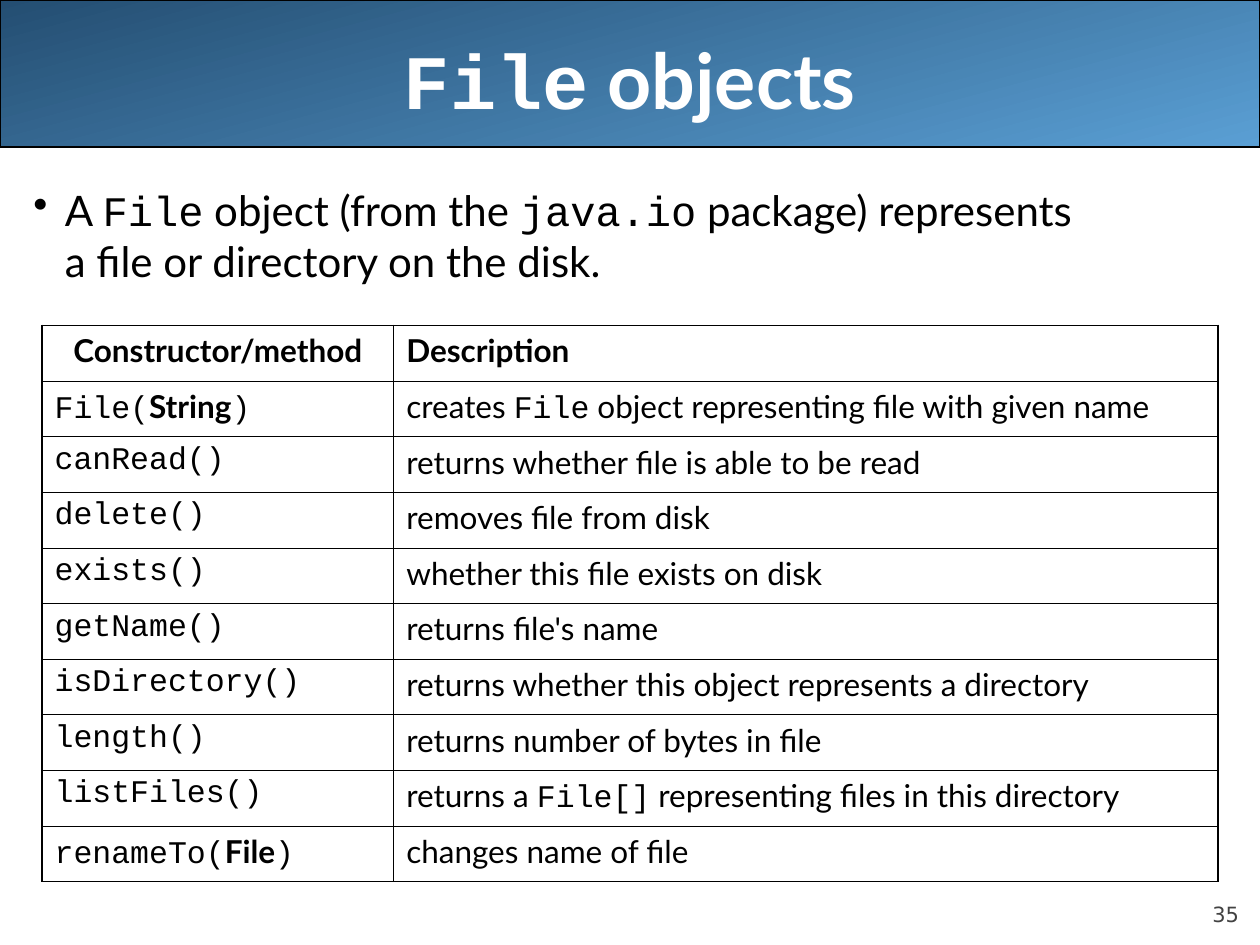
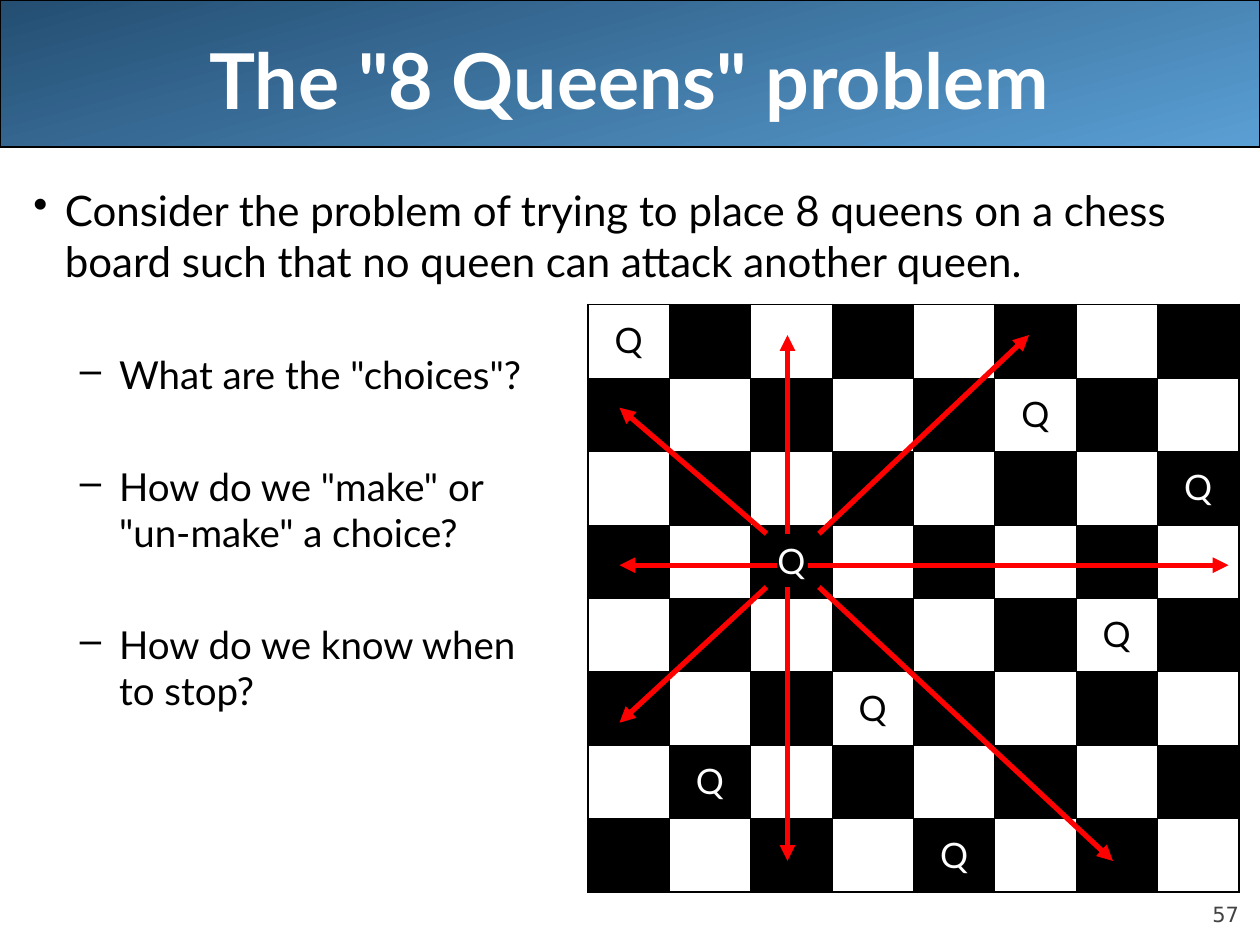
from lxml import etree
from pptx import Presentation
from pptx.dml.color import RGBColor
from pptx.enum.shapes import MSO_CONNECTOR, MSO_SHAPE
from pptx.enum.text import MSO_ANCHOR, MSO_AUTO_SIZE, PP_ALIGN
from pptx.oxml.ns import qn
from pptx.util import Pt

ROUND = MSO_SHAPE.ROUNDED_RECTANGLE
LINE = MSO_CONNECTOR.STRAIGHT
LEFT, MID, RIGHT = PP_ALIGN.LEFT, PP_ALIGN.CENTER, PP_ALIGN.RIGHT
TOP, CENTER, LOW = MSO_ANCHOR.TOP, MSO_ANCHOR.MIDDLE, MSO_ANCHOR.BOTTOM
FIXED = MSO_AUTO_SIZE.NONE

BLACK = RGBColor(0x00, 0x00, 0x00)
WHITE = RGBColor(0xFF, 0xFF, 0xFF)
NAVY = RGBColor(0x24, 0x4E, 0x72)
SKY = RGBColor(0x5A, 0x9F, 0xD4)
GRAY = RGBColor(0x42, 0x42, 0x42)
RED = RGBColor(0xFF, 0x00, 0x00)

SANS, MONO = "Lato", "Courier New"
HEAD = {"name": SANS, "size": Pt(44), "bold": True, "color": WHITE}
BODY = {"name": SANS, "size": Pt(24), "color": BLACK}
SUB = {**BODY, "size": Pt(22)}
CELL = {**BODY, "size": Pt(18), "bold": False}
BOLD = {**CELL, "bold": True}
QUEEN = {**BODY, "size": Pt(20)}
PAGE = {"name": "DejaVu Sans", "size": Pt(12), "color": GRAY}

BAND_BOX = (0, 0, 720, 84)
HEAD_BOX = (36, 0, 648, 90)
BODY_BOX = (12, 102, 708, 408)
PAGE_BOX = (648, 500.5, 60, 28.8)
GRID_BOX = (24, 186, 672, 318)
BOARD_BOX = (336, 174, 372, 336)
THICK, THIN = 1.08, 0.45

METHODS = [
    ("Constructor/method", "Description"),
    ("`File(`String`)`", "creates `File` object representing file with given name"),
    ("`canRead()`", "returns whether file is able to be read"),
    ("`delete()`", "removes file from disk"),
    ("`exists()`", "whether this file exists on disk"),
    ("`getName()`", "returns file's name"),
    ("`isDirectory()`", "returns whether this object represents a directory"),
    ("`length()`", "returns number of bytes in file"),
    ("`listFiles()`", "returns a `File[]` representing files in this directory"),
    ("`renameTo(`File`)`", "changes name of file"),
]
QUEENS = [0, 5, 7, 2, 6, 3, 1, 4]
ATTACKS = [
    ((114, 131), (114, 17.5)),
    ((114, 161.5), (114, 318)),
    ((126, 149), (366, 149)),
    ((108, 149), (18, 149)),
    ((102, 131), (18, 59)),
    ((102, 161.5), (18, 239)),
    ((132, 161.5), (300, 318)),
    ((132, 131), (252, 17.5)),
]


def pts(box):
    return [Pt(n) for n in box]


def style(font, look):
    for key, value in look.items():
        if key == "color":
            font.color.rgb = value
        else:
            setattr(font, key, value)


def write(par, text, look, align=LEFT, **code):
    par.alignment = align
    for i, part in enumerate(text.split("`")):
        for j, line in enumerate(part.split("\n")):
            if j:
                par.add_line_break()
            if line:
                run = par.add_run()
                run.text = line
                style(run.font, {**look, "name": MONO, **code} if i % 2 else look)


def bullet(par, mark, left, hang):
    props = par._p.get_or_add_pPr()
    props.set("marL", str(Pt(left)))
    props.set("indent", str(Pt(-hang)))
    color = etree.SubElement(props, qn("a:buClr"))
    etree.SubElement(color, qn("a:srgbClr"), val=str(BLACK))
    etree.SubElement(props, qn("a:buChar"), char=mark)


def frame(shape, anchor):
    text = shape.text_frame
    for key, value in {"word_wrap": True, "auto_size": FIXED,
                       "vertical_anchor": anchor}.items():
        setattr(text, key, value)
    return text


def add_band(slide, box):
    band = slide.shapes.add_shape(ROUND, *pts(box))
    band.adjustments[0] = 0
    band.shadow.inherit = False
    band.fill.gradient()
    band.fill.gradient_angle = 285
    for stop, color in zip(band.fill.gradient_stops, (NAVY, SKY)):
        stop.color.rgb = color
    band.line.color.rgb = BLACK
    band.line.width = Pt(0.75)
    slide.shapes.title.element.addprevious(band.element)


def add_head(slide, box, text):
    title = slide.shapes.title
    for key, value in zip(("left", "top", "width", "height"), pts(box)):
        setattr(title, key, value)
    write(frame(title, CENTER).paragraphs[0], text, HEAD, MID)


def add_page(slide, box, num):
    text = frame(slide.shapes.add_textbox(*pts(box)), LOW)
    for side in ("left", "top", "right", "bottom"):
        setattr(text, "margin_" + side, 0)
    write(text.paragraphs[0], num, PAGE, RIGHT)


def add_body(slide, box, lead, points=()):
    text = frame(slide.shapes.add_textbox(*pts(box)), TOP)
    par = text.paragraphs[0]
    bullet(par, "•", 18, 18)
    write(par, lead, BODY)
    for point in points:
        par = text.add_paragraph()
        par.level = 1
        bullet(par, "–", 49, 22.5)
        par.space_before = Pt(37.5)
        write(par, point, SUB)


def edge(cell, outer):
    props = cell._tc.get_or_add_tcPr()
    for side, out in zip("LRTB", outer):
        line = etree.SubElement(props, qn("a:ln" + side),
                                w=str(Pt(THICK if out else THIN)))
        fill = etree.SubElement(line, qn("a:solidFill"))
        etree.SubElement(fill, qn("a:srgbClr"), val=str(BLACK))


def add_grid(slide, box, rows, cols):
    table = slide.shapes.add_table(rows, cols, *pts(box)).table
    table.first_row = table.horz_banding = False
    for row in range(rows):
        for col in range(cols):
            edge(table.cell(row, col),
                 (col == 0, col == cols - 1, row == 0, row == rows - 1))
    return table


def add_methods(slide, box):
    table = add_grid(slide, box, len(METHODS), 2)
    first = 201
    for col, width in zip(table.columns, (first, box[2] - first)):
        col.width = Pt(width)
    for r, texts in enumerate(METHODS):
        for c, text in enumerate(texts):
            cell = table.cell(r, c)
            cell.fill.solid()
            cell.fill.fore_color.rgb = WHITE
            write(cell.text_frame.paragraphs[0], text,
                  BOLD if r == 0 or c == 0 else CELL,
                  MID if r == c == 0 else LEFT, bold=False)


def add_board(slide, box):
    size = len(QUEENS)
    table = add_grid(slide, box, size, size)
    for r, queen in enumerate(QUEENS):
        for c in range(size):
            cell, dark = table.cell(r, c), (r + c) % 2
            if dark:
                cell.fill.solid()
                cell.fill.fore_color.rgb = BLACK
            else:
                cell.fill.background()
            if c == queen:
                par = cell.text_frame.paragraphs[0]
                par.line_spacing = 1.2
                write(par, "Q", {**QUEEN, "color": WHITE if dark else BLACK}, MID)


def add_arrows(slide, box):
    group = slide.shapes.add_group_shape()
    left, top = box[:2]
    for (x1, y1), (x2, y2) in ATTACKS:
        ends = (left + x1, top + y1, left + x2, top + y2)
        arrow = group.shapes.add_connector(LINE, *pts(ends))
        arrow.line.color.rgb = RED
        arrow.line.width = Pt(3)
        props = arrow.element.spPr
        etree.SubElement(props.find(qn("a:ln")), qn("a:tailEnd"), type="triangle")
        etree.SubElement(props, qn("a:effectLst"))


def add_slide(deck, title, num):
    slide = deck.slides.add_slide(deck.slide_layouts.get_by_name("Title Only"))
    add_band(slide, BAND_BOX)
    add_page(slide, PAGE_BOX, num)
    add_head(slide, HEAD_BOX, title)
    return slide


def file_slide(deck):
    slide = add_slide(deck, "`File` objects", "35")
    add_body(slide, BODY_BOX, "A `File` object (from the `java.io` package) "
             "represents\na file or directory on the disk.")
    add_methods(slide, GRID_BOX)


def queen_slide(deck):
    slide = add_slide(deck, 'The "8 Queens" problem', "57")
    add_body(slide, BODY_BOX,
             "Consider the problem of trying to place 8 queens on a chess "
             "board such that no queen can attack another queen.",
             ['What are the "choices"?',
              'How do we "make" or\n"un-make" a choice?',
              "How do we know when\nto stop?"])
    add_board(slide, BOARD_BOX)
    add_arrows(slide, BOARD_BOX)


def main():
    deck = Presentation()
    deck.slide_width, deck.slide_height = Pt(720), Pt(540)
    file_slide(deck)
    queen_slide(deck)
    deck.save("out.pptx")


if __name__ == "__main__":
    main()
